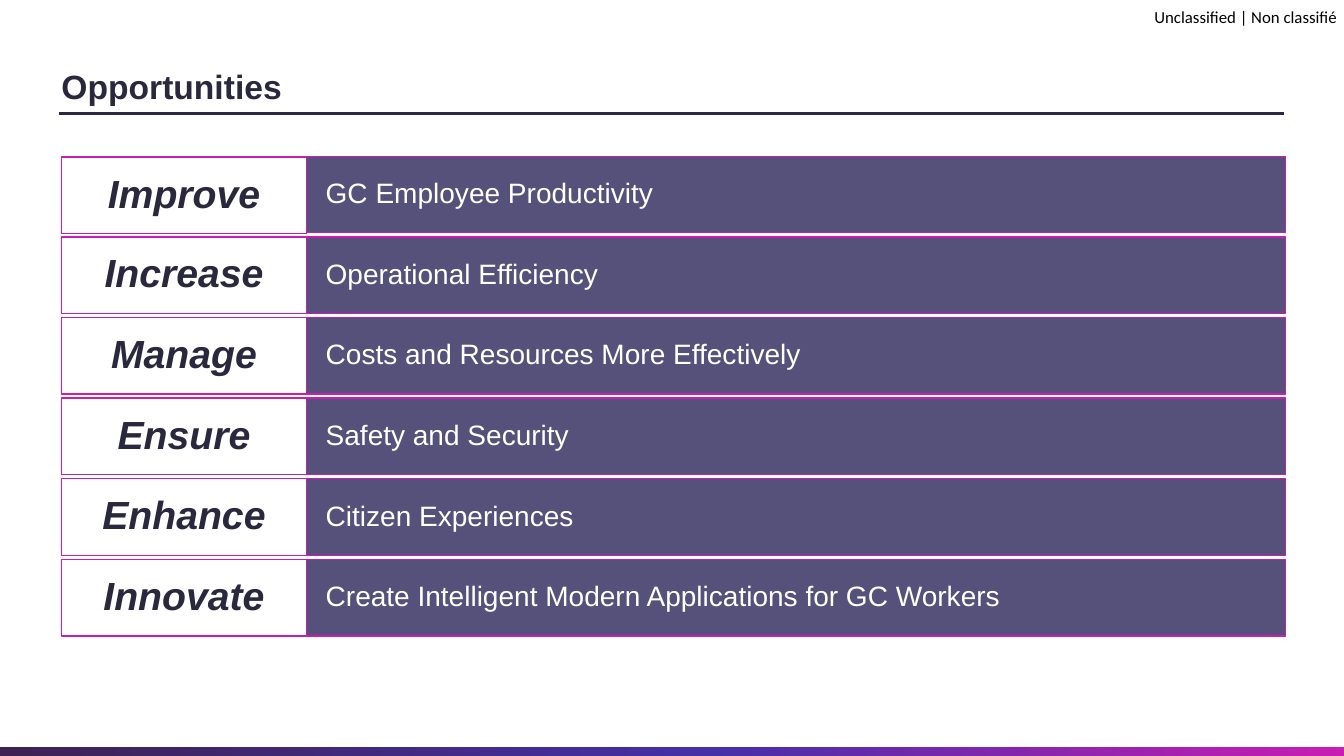
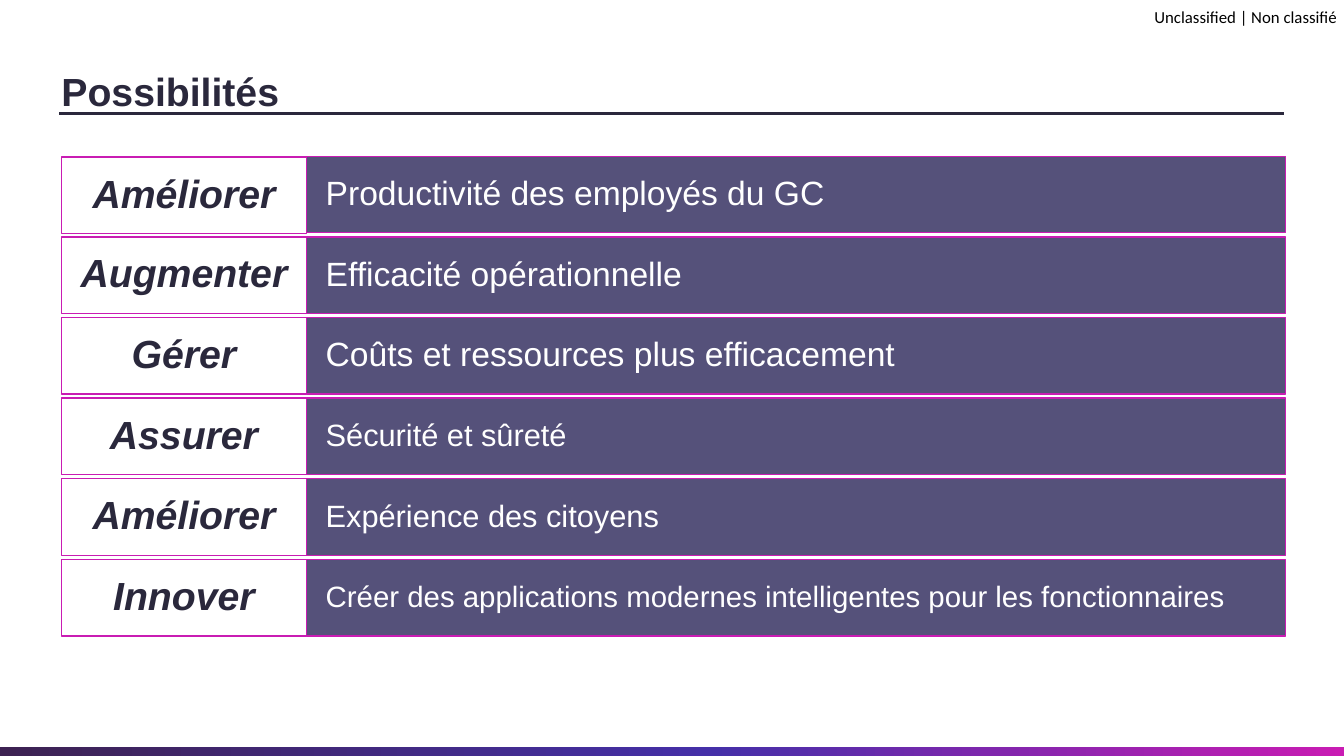
from copy import deepcopy

from lxml import etree
from pptx import Presentation
from pptx import util as u
from pptx.dml import color
from pptx.enum import shapes, text
from pptx.oxml import ns

PX = 9144
WIDTH, HEIGHT = 1333, 750
INK, VIOLET, MAGENTA, WHITE, BLACK = "2A283C", "55517A", "C91CB3", "FFFFFF", "000000"
BAND_STOPS = [(0, "3D2252"), (0.53, "4530A8"), (1, MAGENTA)]

LABEL_LEFT, LABEL_WIDTH = 61, 243
DETAIL_LEFT, DETAIL_WIDTH = LABEL_LEFT + LABEL_WIDTH, 971
ROW_TOP, ROW_HEIGHT, ROW_PITCH = 155, 76, 80

SLIDES = [
    ("Opportunities", 24, [
        ("Improve", "GC Employee Productivity", 20),
        ("Increase", "Operational Efficiency", 20),
        ("Manage", "Costs and Resources More Effectively", 20),
        ("Ensure", "Safety and Security", 20),
        ("Enhance", "Citizen Experiences", 20),
        ("Innovate", "Create Intelligent Modern Applications for GC Workers", 20),
    ]),
    ("Possibilités", 28, [
        ("Améliorer", "Productivité des employés du GC", 24),
        ("Augmenter", "Efficacité opérationnelle", 24),
        ("Gérer", "Coûts et ressources plus efficacement", 24),
        ("Assurer", "Sécurité et sûreté", 22),
        ("Améliorer", "Expérience des citoyens", 22),
        ("Innover", "Créer des applications modernes intelligentes pour les fonctionnaires", 21),
    ]),
]


def px(*lengths):
    """Turn px lengths into EMU."""
    return [u.Emu(length * PX) for length in lengths]


def rgb(hex_code):
    """Turn a hex string into a colour."""
    return color.RGBColor.from_string(hex_code)


def write(shape, wording, size, ink, font="Arial", bold=False, italic=False,
          align=text.PP_ALIGN.LEFT, anchor=text.MSO_ANCHOR.TOP,
          inset=(0, 0), spacing=1.0, wrap=True):
    """Fill a shape with one formatted line of text."""
    frame = shape.text_frame
    frame.auto_size = text.MSO_AUTO_SIZE.NONE
    frame.word_wrap = wrap
    frame.vertical_anchor = anchor
    frame.margin_left, frame.margin_top = px(*inset)
    frame.margin_right, frame.margin_bottom = px(*inset)
    paragraph = frame.paragraphs[0]
    paragraph.alignment = align
    paragraph.line_spacing = spacing
    run = paragraph.add_run()
    run.text = wording
    run.font.name, run.font.size = font, u.Pt(size)
    run.font.bold, run.font.italic = bold, italic
    run.font.color.rgb = rgb(ink)


def add_box(parent, left, top, width, height):
    """Add a rectangle without a shadow."""
    box = parent.add_shape(shapes.MSO_SHAPE.RECTANGLE, *px(left, top, width, height))
    box.shadow.inherit = False
    return box


def add_cell(parent, left, top, width, fill):
    """Add one outlined row cell."""
    cell = add_box(parent, left, top, width, ROW_HEIGHT)
    cell.fill.solid()
    cell.fill.fore_color.rgb = rgb(fill)
    cell.line.color.rgb = rgb(MAGENTA)
    cell.line.width = u.Pt(1)
    return cell


def add_band(slide):
    """Add the gradient band along the foot of the slide."""
    band = add_box(slide.shapes, -1, 741, WIDTH + 2, 9)
    band.line.fill.background()
    band.fill.gradient()
    band.fill.gradient_angle = 0
    stop_list = band.element.spPr.find(".//" + ns.qn("a:gsLst"))
    stop_list.append(deepcopy(stop_list[-1]))
    for stop, (position, hue) in zip(band.fill.gradient_stops, BAND_STOPS):
        stop.position = position
        stop.color.rgb = rgb(hue)


def add_rule(slide):
    """Add the line under the title."""
    start_x, start_y, end_x, end_y = px(59, 113, 1274, 113)
    rule = slide.shapes.add_connector(
        shapes.MSO_CONNECTOR.STRAIGHT, start_x, start_y, end_x, end_y)
    rule.line.color.rgb = rgb(INK)
    rule.line.width = u.Pt(2.25)
    etree.SubElement(rule.element.spPr, ns.qn("a:effectLst"))


def add_frame(slide):
    """Add the parts that every slide shares."""
    add_band(slide)
    marking = slide.shapes.add_textbox(*px(1145, 7, 186, 20))
    write(marking, "Unclassified | Non classifié", 12, BLACK, font="Calibri", wrap=False)
    add_rule(slide)


def set_title(slide, wording, size):
    """Place and format the title."""
    title = slide.shapes.title
    title.left, title.top, title.width, title.height = px(61, 57, 576, 55)
    write(title, wording, size, INK, bold=True, spacing=1.2)


def add_rows(slide, rows):
    """Add the grouped rows of verb and detail."""
    group = slide.shapes.add_group_shape().shapes
    for index, (verb, detail, size) in enumerate(rows):
        top = ROW_TOP + index * ROW_PITCH
        detail_cell = add_cell(group, DETAIL_LEFT, top, DETAIL_WIDTH, VIOLET)
        write(detail_cell, detail, size, WHITE, anchor=text.MSO_ANCHOR.MIDDLE,
              inset=(19, 19), spacing=0.9)
        label_top = top + 1 if index == 0 else top
        verb_cell = add_cell(group, LABEL_LEFT, label_top, LABEL_WIDTH, WHITE)
        write(verb_cell, verb, 28, INK, bold=True, italic=True,
              align=text.PP_ALIGN.CENTER, anchor=text.MSO_ANCHOR.MIDDLE,
              inset=(13, 7), spacing=0.9)


def main():
    """Build and save the presentation."""
    deck = Presentation()
    deck.slide_width, deck.slide_height = px(WIDTH, HEIGHT)
    title_only = deck.slide_layouts[5]
    for heading, size, rows in SLIDES:
        slide = deck.slides.add_slide(title_only)
        add_frame(slide)
        set_title(slide, heading, size)
        add_rows(slide, rows)
    deck.save("out.pptx")


if __name__ == "__main__":
    main()
